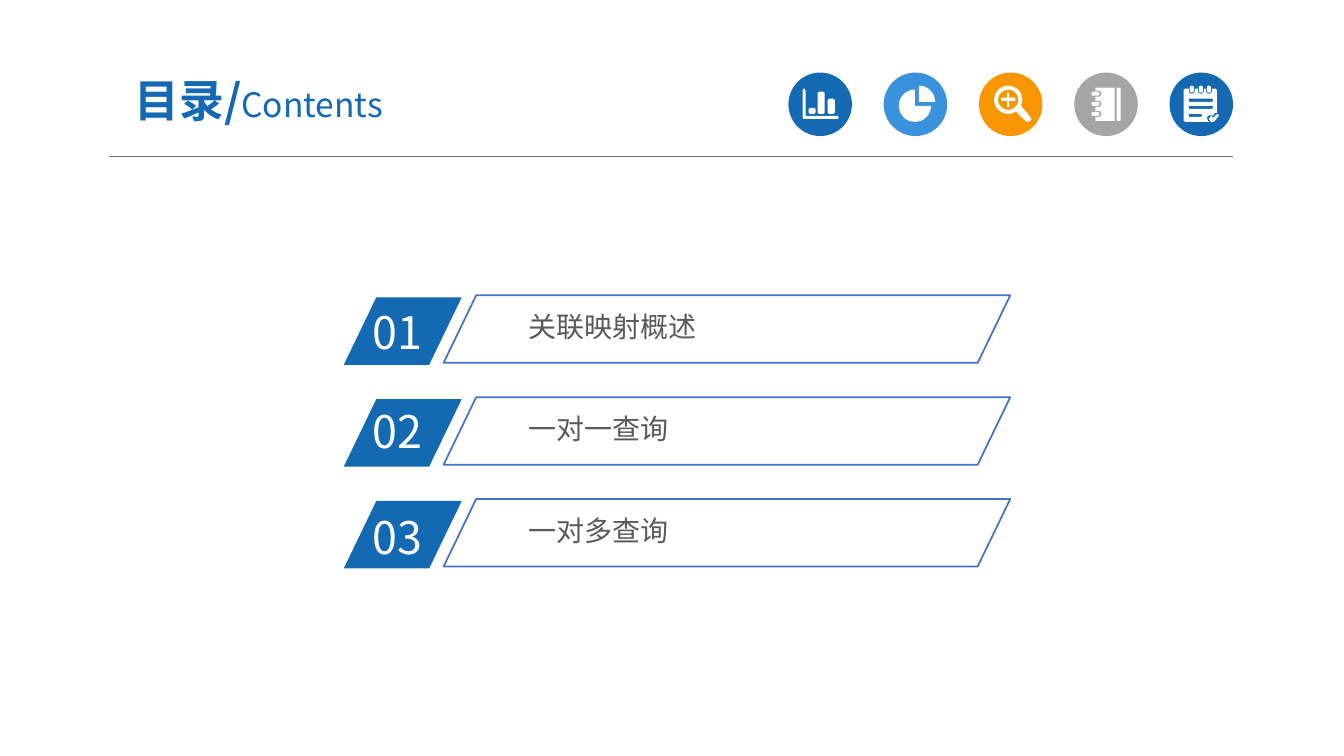
import math
from dataclasses import dataclass

import lxml.etree
import pptx
import pptx.dml.color
import pptx.enum.shapes
import pptx.enum.text
import pptx.oxml.ns
import pptx.util

Inches = pptx.util.Inches
Shape = pptx.enum.shapes.MSO_SHAPE
qn = pptx.oxml.ns.qn
Point = tuple[float, float]
Contour = list[Point]


@dataclass(frozen=True)
class Theme:
    font: str = "Noto Sans CJK SC"
    blue: str = "1369B2"
    sky: str = "3992DB"
    orange: str = "F79600"
    gray: str = "A5A5A5"
    outline: str = "4472C4"
    rule: str = "707070"
    text: str = "595959"
    white: str = "FFFFFF"
    title_size: int = 32
    subtitle_size: int = 24
    number_size: int = 32
    label_size: int = 20


@dataclass(frozen=True)
class Badge:
    color: str
    icon: list[Contour]


@dataclass(frozen=True)
class Entry:
    number: str
    label: str
    number_top: float


THEME = Theme()


def rgb(color: str) -> pptx.dml.color.RGBColor:
    return pptx.dml.color.RGBColor.from_string(color)


# Icon geometry, in inches from the badge's top left corner
def arc(cx: float, cy: float, radius: float, start: int, end: int) -> Contour:
    steps = max(4, abs(end - start) // 10)
    angles = [math.radians(start + (end - start) * i / steps) for i in range(steps + 1)]
    return [(cx + radius * math.cos(a), cy + radius * math.sin(a)) for a in angles]


def rounded(x: float, y: float, w: float, h: float, radius: float = 0.01) -> Contour:
    left, right, top, bottom = x + radius, x + w - radius, y + radius, y + h - radius
    return (arc(left, top, radius, 180, 270) + arc(right, top, radius, 270, 360)
            + arc(right, bottom, radius, 0, 90) + arc(left, bottom, radius, 90, 180))


def bar_icon() -> list[Contour]:
    axis = [(0.14, 0.18), (0.15, 0.16), (0.16, 0.16), (0.17, 0.18), (0.17, 0.43),
            (0.49, 0.43), (0.5, 0.45), (0.49, 0.46), (0.15, 0.46), (0.14, 0.45)]
    bars = [(0.2, 0.35), (0.29, 0.19), (0.39, 0.26)]
    return [axis] + [rounded(x, y, 0.07, 0.41 - y, 0.02) for x, y in bars]


def pie_icon() -> list[Contour]:
    return [[(0.35, 0.29)] + arc(0.35, 0.29, 0.16, 270, 360),
            [(0.31, 0.33)] + arc(0.31, 0.33, 0.16, 0, 270)]


def magnifier_icon() -> list[Contour]:
    handle = [(0.5, 0.43), (0.52, 0.46), (0.51, 0.48), (0.48, 0.49), (0.46, 0.48), (0.36, 0.38)]
    plus = [(0.28, 0.2), (0.3, 0.2), (0.3, 0.25), (0.36, 0.25), (0.36, 0.28), (0.3, 0.28),
            (0.3, 0.34), (0.28, 0.34), (0.28, 0.28), (0.22, 0.28), (0.22, 0.25), (0.28, 0.25)]
    return [arc(0.29, 0.27, 0.14, 60, 385) + handle, arc(0.29, 0.27, 0.1, 0, 360), plus]


def notebook_icon() -> list[Contour]:
    rings = [0.41, 0.31, 0.21]
    body = [(0.21, 0.15), (0.4, 0.15), (0.4, 0.48), (0.21, 0.48)]
    for y in rings:
        body += [(0.21, y + 0.03)] + arc(0.24, y, 0.03, 90, -90) + [(0.21, y - 0.03)]
    strip = rounded(0.42, 0.15, 0.04, 0.33)
    return [body, strip] + [rounded(0.17, y - 0.02, 0.08, 0.04, 0.02) for y in rings]


def notepad_icon() -> list[Contour]:
    coils = [0.22, 0.31, 0.39]
    body = [(0.14, 0.17), (0.15, 0.16)]
    for x in coils:
        body += [(x - 0.03, 0.16)] + arc(x, 0.18, 0.03, 180, 0) + [(x + 0.03, 0.16)]
    body += [(0.46, 0.16), (0.47, 0.18), (0.47, 0.4), (0.45, 0.4), (0.43, 0.43), (0.41, 0.42),
             (0.38, 0.43), (0.37, 0.45), (0.38, 0.48), (0.4, 0.49), (0.16, 0.49), (0.14, 0.48)]
    check = [(0.48, 0.44), (0.44, 0.49), (0.41, 0.49), (0.39, 0.46), (0.41, 0.43),
             (0.43, 0.45), (0.46, 0.42), (0.48, 0.41), (0.49, 0.43)]
    lines = [(0.26, 0.24), (0.33, 0.24), (0.41, 0.13)]
    return ([body, check] + [rounded(0.19, y, w, 0.03) for y, w in lines]
            + [rounded(x - 0.02, 0.13, 0.04, 0.07, 0.02) for x in coils])


# Drawing helpers
def paint(sp, fill: str | None, line: str | None = None) -> None:
    sp.shadow.inherit = False
    if fill:
        sp.fill.solid()
        sp.fill.fore_color.rgb = rgb(fill)
    else:
        sp.fill.background()
    if line:
        sp.line.color.rgb = rgb(line)
        sp.line.width = pptx.util.Pt(1.25)
    else:
        sp.line.fill.background()


def add_preset(s, kind, box: tuple, fill: str | None, line: str | None = None) -> None:
    sp = s.shapes.add_shape(kind, *map(Inches, box))
    if kind == Shape.PARALLELOGRAM:
        sp.adjustments[0] = 0.482
    paint(sp, fill, line)


def add_icon(s, contours: list[Contour], left: float, top: float) -> None:
    placed = [[(Inches(left + x), Inches(top + y)) for x, y in c] for c in contours]
    builder = s.shapes.build_freeform(*placed[0][0])
    for i, contour in enumerate(placed):
        if i:
            builder.move_to(*contour[0])
        builder.add_line_segments(contour[1:], close=True)
    paint(builder.convert_to_shape(), THEME.white)


def add_text(s, box: tuple, color: str, text: str = "", size: int | None = None,
             inset: tuple[float, float] = (0.1, 0.05)):
    tf = s.shapes.add_textbox(*map(Inches, box)).text_frame
    tf.word_wrap = True
    tf.margin_left = tf.margin_right = Inches(inset[0])
    tf.margin_top = tf.margin_bottom = Inches(inset[1])
    p = tf.paragraphs[0]
    p.font.name = THEME.font
    p.font.color.rgb = rgb(color)
    if size:
        p.font.size = pptx.util.Pt(size)
        tf.auto_size = pptx.enum.text.MSO_AUTO_SIZE.SHAPE_TO_FIT_TEXT
    # East Asian typeface
    defaults = p._p.get_or_add_pPr().find(qn("a:defRPr"))
    lxml.etree.SubElement(defaults, qn("a:ea"), typeface=THEME.font)
    if text:
        p.add_run().text = text
    return tf


def add_header(s) -> None:
    # Rule under the header
    rule = s.shapes.add_connector(pptx.enum.shapes.MSO_CONNECTOR.STRAIGHT,
                                  *map(Inches, (1.08, 1.55, 12.23, 1.55)))
    rule.line.color.rgb = rgb(THEME.rule)
    rule.line.width = pptx.util.Pt(0.5)
    lxml.etree.SubElement(rule._element.spPr, qn("a:effectLst"))

    # Icon badges
    badges = [Badge(THEME.blue, bar_icon()), Badge(THEME.sky, pie_icon()),
              Badge(THEME.orange, magnifier_icon()), Badge(THEME.gray, notebook_icon()),
              Badge(THEME.blue, notepad_icon())]
    for i, badge in enumerate(badges):
        left, top = 7.82 + i * 3.78 / 4, 0.72
        add_preset(s, Shape.OVAL, (left, top, 0.63, 0.63), badge.color)
        add_icon(s, badge.icon, left, top)

    # Title
    tf = add_text(s, (0.92, 0.63, 3.29, 0.72), THEME.blue, inset=(0.13, 0.07))
    tf.vertical_anchor = pptx.enum.text.MSO_ANCHOR.MIDDLE
    p = tf.paragraphs[0]
    p.alignment = pptx.enum.text.PP_ALIGN.CENTER
    for text, size, bold in [("目录/", THEME.title_size, True),
                             ("Contents", THEME.subtitle_size, False)]:
        r = p.add_run()
        r.text = text
        r.font.size, r.font.bold = pptx.util.Pt(size), bold


def add_contents(s) -> None:
    entries = [Entry("01", "关联映射概述", 2.97), Entry("02", "一对一查询", 3.96),
               Entry("03", "一对多查询", 5.01)]
    for i, entry in enumerate(entries):
        top = 2.93 + i * 1.01
        add_preset(s, Shape.PARALLELOGRAM, (3.41, top + 0.02, 1.17, 0.67), THEME.blue)
        add_text(s, (3.6, entry.number_top, 1.12, 0.64), THEME.white, entry.number,
                 THEME.number_size)
        add_text(s, (5.17, top + 0.1, 4.12, 0.41), THEME.text, entry.label,
                 THEME.label_size, (0.07, 0.04))
        add_preset(s, Shape.PARALLELOGRAM, (4.4, top, 5.62, 0.67), None, THEME.outline)


def main() -> None:
    prs = pptx.Presentation()
    prs.slide_width, prs.slide_height = Inches(13.33), Inches(7.5)
    s = prs.slides.add_slide(prs.slide_layouts[6])
    add_header(s)
    add_contents(s)
    prs.save("out.pptx")


if __name__ == "__main__":
    main()
